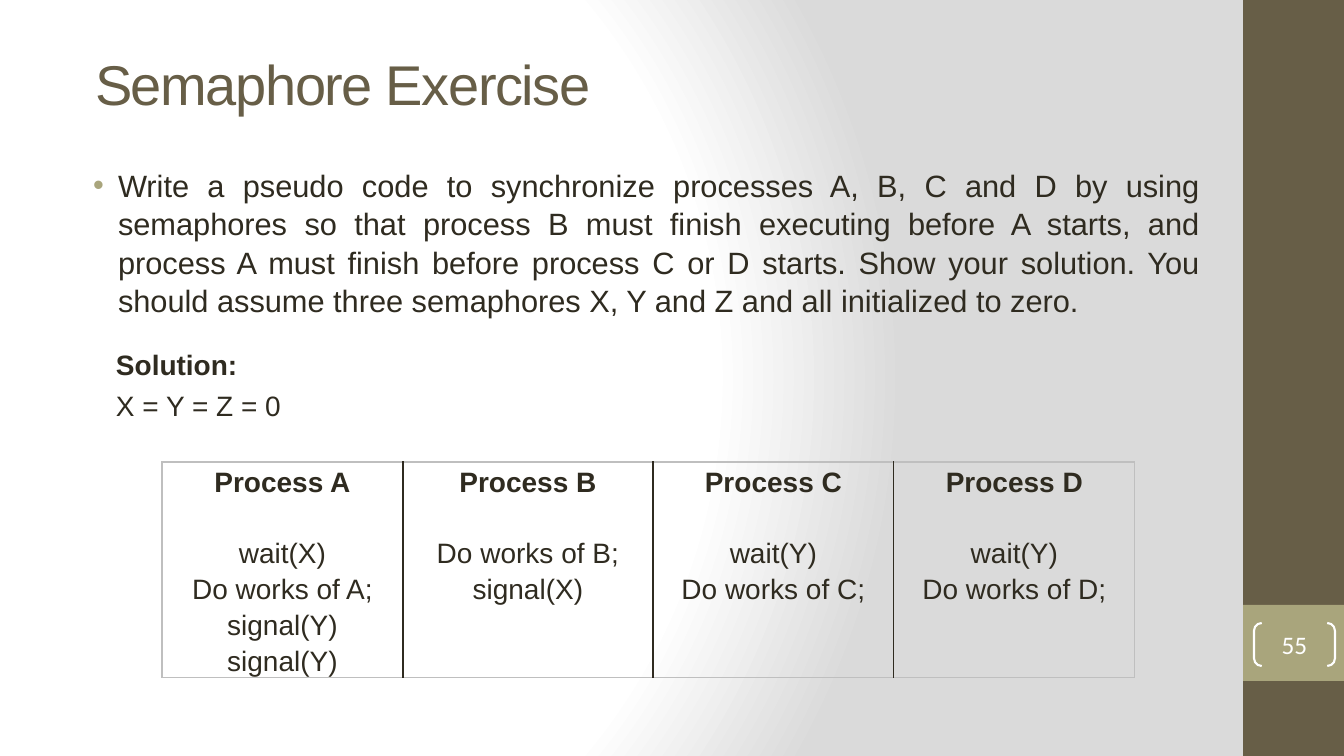
from lxml import etree
from pptx import Presentation
from pptx import util as u
from pptx.dml.color import RGBColor
from pptx.enum import shapes, text
from pptx.oxml import parse_xml
from pptx.oxml.ns import qn

HUES = {"brown": "675E47", "olive": "A9A57C", "ink": "2F2B20",
        "white": "FFFFFF", "grey": "DADADA", "edge": "BFBFBF"}
NS = 'xmlns:a="http://schemas.openxmlformats.org/drawingml/2006/main"'
SCALE = 914400 / 100.8
KIND = shapes.MSO_SHAPE
ALIGN = text.PP_ALIGN
MID = text.MSO_ANCHOR.MIDDLE
TOP = text.MSO_ANCHOR.TOP


def px(n):
    return u.Emu(round(n * SCALE))


class Deck:
    """Hold the style and the current slide, and draw each kind of element."""

    def __init__(self, wide, high):
        self.prs = Presentation()
        self.prs.slide_width, self.prs.slide_height = px(wide), px(high)
        self.slide = self.prs.slides.add_slide(self.prs.slide_layouts[1])

    def back(self, stops, focus):
        fill = self.slide.background.fill
        fill.gradient()
        grad = next(self.slide.element.iter(qn("a:gradFill")))
        marks = "".join(f'<a:gs pos="{pos * 1000}"><a:srgbClr val="{HUES[hue]}"/></a:gs>'
                        for pos, hue in stops)
        rect = " ".join(f'{side}="{val * 1000}"' for side, val in zip("ltrb", focus))
        grad.getparent().replace(grad, parse_xml(
            f'<a:gradFill {NS} rotWithShape="1"><a:gsLst>{marks}</a:gsLst>'
            f'<a:path path="circle"><a:fillToRect {rect}/></a:path></a:gradFill>'))

    def place(self, shape, box):
        for name, val in zip(("left", "top", "width", "height"), box):
            setattr(shape, name, px(val))

    def frame(self, frame, anchor, inset=(10, 5)):
        side, edge = map(px, inset)
        form = {"word_wrap": True, "auto_size": text.MSO_AUTO_SIZE.NONE,
                "vertical_anchor": anchor, "margin_left": side,
                "margin_right": side, "margin_top": edge, "margin_bottom": edge}
        for name, val in form.items():
            setattr(frame, name, val)

    def words(self, para, words, size, hue="ink", face="Arial", bold=False, **form):
        run = para.add_run()
        run.text = words
        for name, val in {"size": u.Pt(size), "name": face, "bold": bold}.items():
            setattr(run.font, name, val)
        run.font.color.rgb = RGBColor.from_string(HUES[hue])
        for name, val in form.items():
            setattr(para, name, val)
        return run

    def lines(self, frame, rows):
        for i, (words, form) in enumerate(rows):
            para = frame.add_paragraph() if i else frame.paragraphs[0]
            self.words(para, words, **form)

    def title(self, words, box):
        shape = self.slide.shapes.title
        self.place(shape, box)
        self.frame(shape.text_frame, MID)
        run = self.words(shape.text_frame.paragraphs[0], words, 40, "brown",
                         alignment=ALIGN.LEFT)
        run.font._element.set("spc", "-100")

    def body(self, words, box):
        shape = self.slide.placeholders[1]
        self.place(shape, box)
        self.frame(shape.text_frame, TOP)
        para = shape.text_frame.paragraphs[0]
        prop = para._p.get_or_add_pPr()
        prop.set("marL", str(px(38)))
        prop.set("indent", str(px(-25)))
        hue = etree.SubElement(prop, qn("a:buClr"))
        etree.SubElement(hue, qn("a:srgbClr"), val=HUES["olive"])
        etree.SubElement(prop, qn("a:buFont"), typeface="Arial")
        etree.SubElement(prop, qn("a:buChar"), char="•")
        self.words(para, words, 22, alignment=ALIGN.JUSTIFY,
                   line_spacing=1.04, space_before=u.Pt(0))

    def shape(self, kind, box, fill=None, line=None):
        shape = self.slide.shapes.add_shape(kind, *map(px, box))
        shape.shadow.inherit = False
        if fill:
            shape.fill.solid()
            shape.fill.fore_color.rgb = RGBColor.from_string(HUES[fill])
        else:
            shape.fill.background()
        if line:
            shape.line.color.rgb = RGBColor.from_string(HUES[line])
            shape.line.width = u.Pt(1.5)
        else:
            shape.line.fill.background()
        return shape

    def badge(self, words, box):
        shape = self.shape(KIND.DOUBLE_BRACKET, box, line="white")
        shape.adjustments[0] = 0.18
        self.frame(shape.text_frame, MID, (0, 0))
        self.words(shape.text_frame.paragraphs[0], words, 18, "white", "Calibri",
                   alignment=ALIGN.CENTER)

    def note(self, rows, box):
        shape = self.slide.shapes.add_textbox(*map(px, box))
        self.frame(shape.text_frame, TOP)
        self.lines(shape.text_frame, rows)

    def rule(self, cell, side, hue):
        prop = cell._tc.get_or_add_tcPr()
        prop.append(parse_xml(
            f'<a:ln{side} {NS} w="12700"><a:solidFill><a:srgbClr val="{HUES[hue]}"/>'
            f'</a:solidFill></a:ln{side}>'))

    def table(self, cols, left, top, high, wides):
        grid = self.slide.shapes.add_table(1, len(cols), *map(
            px, (left, top, sum(wides), high))).table
        grid.first_row = grid.horz_banding = False
        last = len(cols) - 1
        base = {"size": 20, "alignment": ALIGN.CENTER, "line_spacing": 1.15}
        for i, (head, steps) in enumerate(cols.items()):
            grid.columns[i].width = px(wides[i])
            cell = grid.cell(0, i)
            for name, val in zip(("left", "right", "top", "bottom"), (7, 7, 0, 0)):
                setattr(cell, "margin_" + name, px(val))
            hues = {"L": "ink" if i else "edge", "R": "ink" if i < last else "edge",
                    "T": "edge", "B": "edge"}
            for side, hue in hues.items():
                self.rule(cell, side, hue)
            cell.fill.background()
            gap = {"space_before": u.Pt(25.7)}
            rows = [(head, base | {"bold": True}), (steps[0], base | gap)]
            self.lines(cell.text_frame, rows + [(step, base) for step in steps[1:]])


def main():
    deck = Deck(1344, 756)
    deck.back([(0, "white"), (75, "white"), (100, "grey")], (20, 50, 100, 50))
    deck.shape(KIND.RECTANGLE, (1243, 0, 101, 756), "brown")
    deck.shape(KIND.RECTANGLE, (1243, 605, 101, 76), "olive")
    deck.title("Semaphore Exercise", (85, 61, 1100, 45))
    deck.badge("55", (1254, 623, 81, 43))
    deck.body("Write a pseudo code to synchronize processes A, B, C and D by using "
              "semaphores so that process B must finish executing before A starts, "
              "and process A must finish before process C or D starts. Show your "
              "solution. You should assume three semaphores X, Y and Z and all "
              "initialized to zero.", (70, 160, 1140, 367))
    deck.table({
        "Process A": ["wait(X)", "Do works of A;", "signal(Y)", "signal(Y)"],
        "Process B": ["Do works of B;", "signal(X)"],
        "Process C": ["wait(Y)", "Do works of C;"],
        "Process D": ["wait(Y)", "Do works of D;"],
    }, 162, 462, 202, (241, 250, 241, 241))
    deck.note([
        ("Solution:", {"size": 20, "bold": True, "line_spacing": 0.9}),
        ("X = Y = Z = 0", {"size": 20, "line_spacing": 0.9, "space_before": u.Pt(8)}),
    ], (106, 346, 235, 101))
    deck.prs.save("out.pptx")


if __name__ == "__main__":
    main()
